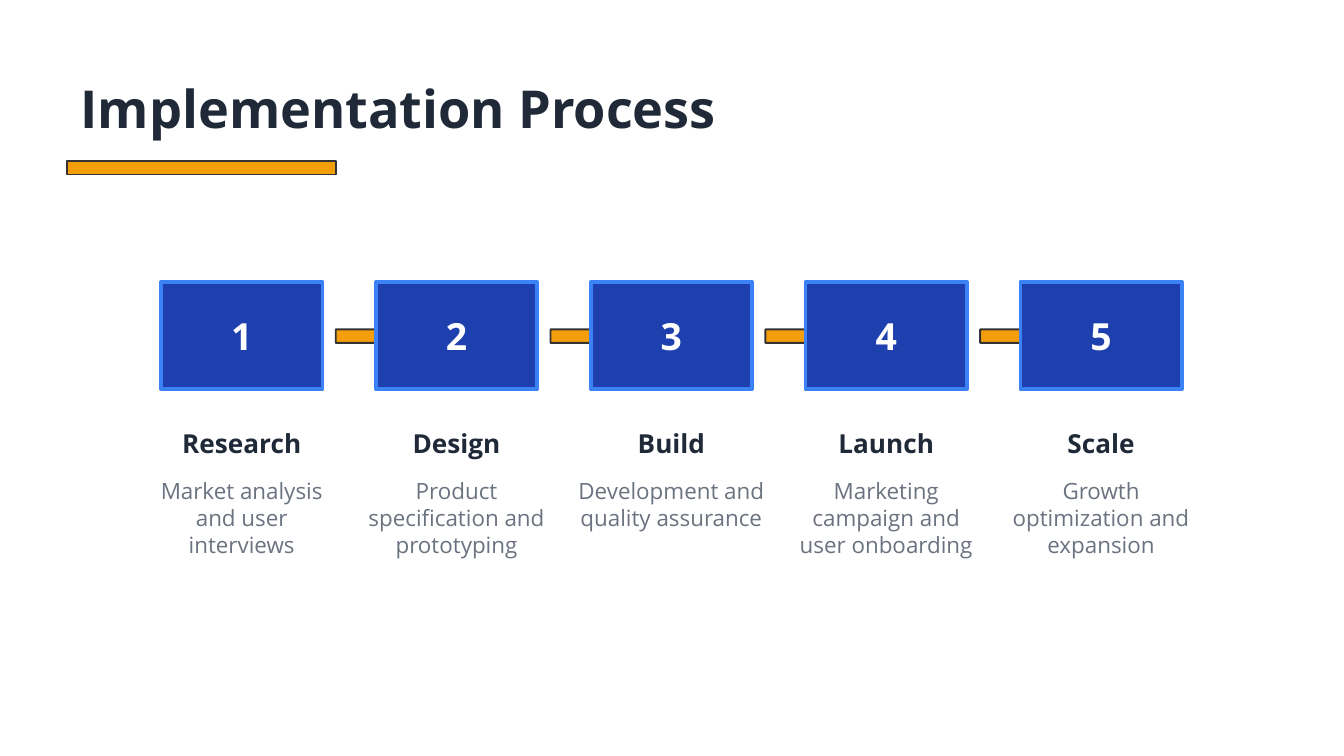
import pptx
import pptx.dml.color
import pptx.enum.shapes
import pptx.enum.text
import pptx.util

Cm = pptx.util.Cm
Pt = pptx.util.Pt
SHAPE = pptx.enum.shapes.MSO_SHAPE
ALIGN = pptx.enum.text.PP_ALIGN
ANCHOR = pptx.enum.text.MSO_ANCHOR

# Content
HEADING = "Implementation Process"
STEPS = [
    ("Research", "Market analysis and user interviews"),
    ("Design", "Product specification and prototyping"),
    ("Build", "Development and quality assurance"),
    ("Launch", "Marketing campaign and user onboarding"),
    ("Scale", "Growth optimization and expansion"),
]

FONT = "Open Sans"
COLORS = {
    "dark": "1F2937",
    "grey": "6B7280",
    "white": "FFFFFF",
    "box": "1E40AF",
    "box_line": "3B82F6",
    "accent": "F59E0B",
    "accent_line": "333333",
}

# Layout in centimetres; each step fills one column
LEFT = 2.54
COLUMN = 4.06
BOX_WIDTH, BOX_HEIGHT, BOX_TOP = 3.05, 2.03, 5.33
ARROW_WIDTH, ARROW_HEIGHT, ARROW_TOP = 1.02, 0.51, 6.1
ARROW_GAP = 0.25


def color(name):
    return pptx.dml.color.RGBColor.from_string(COLORS[name])


def write(shape, text, size, ink, bold=False, align=ALIGN.CENTER, anchor=ANCHOR.MIDDLE):
    frame = shape.text_frame
    frame.word_wrap = True
    frame.auto_size = pptx.enum.text.MSO_AUTO_SIZE.NONE
    frame.vertical_anchor = anchor
    paragraph = frame.paragraphs[0]
    paragraph.alignment = align
    run = paragraph.add_run()
    run.text = text
    run.font.name = FONT
    run.font.size = Pt(size)
    run.font.bold = bold
    run.font.color.rgb = color(ink)


def add_block(slide, kind, left, top, width, height, fill, line, weight):
    block = slide.shapes.add_shape(kind, Cm(left), Cm(top), Cm(width), Cm(height))
    block.shadow.inherit = False
    block.fill.solid()
    block.fill.fore_color.rgb = color(fill)
    block.line.color.rgb = color(line)
    block.line.width = Pt(weight)
    return block


def add_label(slide, left, top, height, text, size, ink, **style):
    label = slide.shapes.add_textbox(Cm(left), Cm(top), Cm(COLUMN), Cm(height))
    write(label, text, size, ink, **style)


def main():
    deck = pptx.Presentation()
    deck.slide_width, deck.slide_height = Cm(25.4), Cm(14.29)
    slide = deck.slides.add_slide(deck.slide_layouts[5])

    # Title and underline
    title = slide.shapes.title
    title.left, title.top, title.width, title.height = Cm(1.27), Cm(0.76), Cm(22.86), Cm(2.54)
    write(title, HEADING, 28, "dark", bold=True, align=ALIGN.LEFT)
    add_block(slide, SHAPE.RECTANGLE, 1.27, 3.05, 5.08, 0.25, "accent", "accent_line", 1)

    for index, (name, description) in enumerate(STEPS):
        column_left = LEFT + index * COLUMN
        box_left = column_left + (COLUMN - BOX_WIDTH) / 2

        # Arrow from the previous step, its head tucked under this box
        if index:
            arrow_left = box_left - COLUMN + BOX_WIDTH + ARROW_GAP
            add_block(slide, SHAPE.RIGHT_ARROW, arrow_left, ARROW_TOP,
                      ARROW_WIDTH, ARROW_HEIGHT, "accent", "accent_line", 1)

        # Numbered box
        box = add_block(slide, SHAPE.RECTANGLE, box_left, BOX_TOP,
                        BOX_WIDTH, BOX_HEIGHT, "box", "box_line", 2)
        write(box, str(index + 1), 20, "white", bold=True)

        # Step name and description
        add_label(slide, column_left, 7.87, 1.02, name, 14, "dark", bold=True)
        add_label(slide, column_left, 8.89, 3.05, description, 12, "grey", anchor=ANCHOR.TOP)

    deck.save("out.pptx")


if __name__ == "__main__":
    main()
